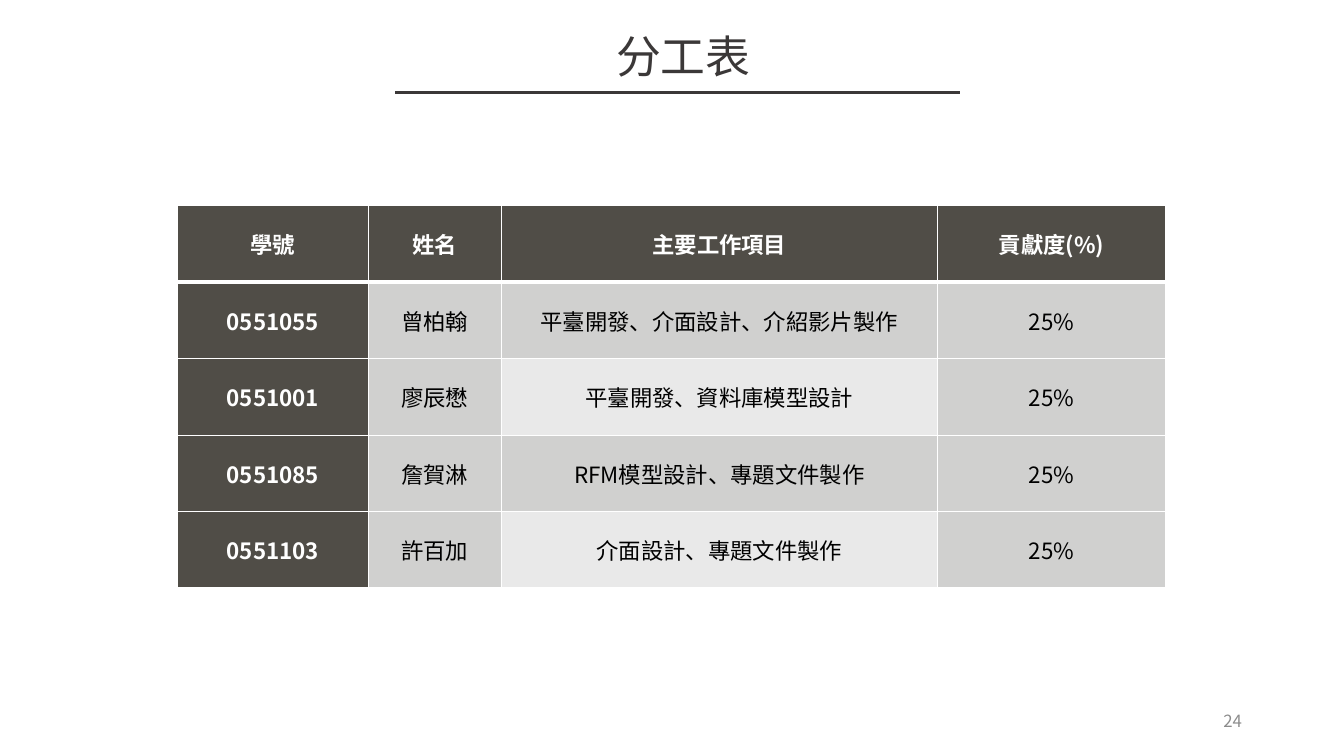
import pptx
import pptx.util
import pptx.dml.color
import pptx.enum.shapes
import pptx.enum.text
import pptx.oxml
import pptx.oxml.ns
from lxml import etree

Pt = pptx.util.Pt
RGB = pptx.dml.color.RGBColor
ALIGN = pptx.enum.text.PP_ALIGN
ANCHOR = pptx.enum.text.MSO_ANCHOR
qn = pptx.oxml.ns.qn

FONT = "Noto Sans CJK SC"
INK = RGB(0x3B, 0x38, 0x38)
GRAY = RGB(0x8C, 0x8C, 0x8C)
DARK = RGB(0x50, 0x4D, 0x47)
MID = RGB(0xD0, 0xD0, 0xCF)
PALE = RGB(0xE9, 0xE9, 0xE9)
BLACK = RGB(0, 0, 0)
WHITE = RGB(255, 255, 255)

HEAD = ["學號", "姓名", "主要工作項目", "貢獻度(%)"]
TEAM = [
    ["0551055", "曾柏翰", "平臺開發、介面設計、介紹影片製作", "25%"],
    ["0551001", "廖辰懋", "平臺開發、資料庫模型設計", "25%"],
    ["0551085", "詹賀淋", "RFM模型設計、專題文件製作", "25%"],
    ["0551103", "許百加", "介面設計、專題文件製作", "25%"],
]
COLS = [136.1, 95, 311.8, 162.7]


def write(frame, text, size, color, align, bold=False):
    para = frame.paragraphs[0]
    para.alignment = align
    run = para.add_run()
    run.text = text
    font = run.font
    font.name, font.size, font.bold = FONT, Pt(size), bold
    font.color.rgb = color
    # East Asian typeface
    latin = font._element.find(qn("a:latin"))
    latin.addnext(etree.Element(qn("a:ea"), typeface=FONT))


def add_title(slide, x, y, w, h):
    group = slide.shapes.add_group_shape()
    box = group.shapes.add_textbox(Pt(x), Pt(y), Pt(w), Pt(h))
    box.text_frame.word_wrap = True
    box.text_frame.auto_size = pptx.enum.text.MSO_AUTO_SIZE.SHAPE_TO_FIT_TEXT
    write(box.text_frame, "分工表", 32, INK, ALIGN.CENTER)
    # Rule under the title
    left, right, base = x + 12.2, x + w - 20.9, y + h + 2.9
    rule = group.shapes.add_connector(
        pptx.enum.shapes.MSO_CONNECTOR.STRAIGHT,
        Pt(left), Pt(base), Pt(right), Pt(base))
    rule.line.color.rgb = INK
    rule.line.width = Pt(2)
    etree.SubElement(rule._element.spPr, qn("a:effectLst"))


def add_edges(cell, top, bottom):
    props = cell._tc.get_or_add_tcPr()
    edges = [("L", 1), ("R", 1), ("T", top), ("B", bottom)]
    for i, (side, width) in enumerate(edges):
        edge = etree.Element(qn("a:ln" + side), w=str(Pt(width)))
        fill = etree.SubElement(edge, qn("a:solidFill"))
        etree.SubElement(fill, qn("a:srgbClr"), val=str(WHITE))
        props.insert(i, edge)


def add_team(slide, x, y, w, h):
    rows = [HEAD] + TEAM
    table = slide.shapes.add_table(
        len(rows), len(COLS), Pt(x), Pt(y), Pt(w), Pt(h)).table
    for col, width in zip(table.columns, COLS):
        col.width = Pt(w * width / sum(COLS))
    for r, row in enumerate(rows):
        table.rows[r].height = Pt(h / len(rows))
        for c, text in enumerate(row):
            cell = table.cell(r, c)
            label = r == 0 or c == 0
            shade = PALE if c == 2 and r % 2 == 0 else MID
            cell.fill.solid()
            cell.fill.fore_color.rgb = DARK if label else shade
            cell.vertical_anchor = ANCHOR.MIDDLE
            cell.margin_left = cell.margin_right = Pt(5)
            cell.margin_top = cell.margin_bottom = Pt(0)
            write(cell.text_frame, text, 16, WHITE if label else BLACK,
                  ALIGN.CENTER, label)
            add_edges(cell, 3 if r == 1 else 1, 3 if r == 0 else 1)


def add_number(slide, x, y, w, h):
    box = slide.shapes.add_textbox(Pt(x), Pt(y), Pt(w), Pt(h))
    box.text_frame.word_wrap = True
    box.text_frame.vertical_anchor = ANCHOR.MIDDLE
    write(box.text_frame, "24", 12, GRAY, ALIGN.RIGHT)


def main():
    deck = pptx.Presentation()
    deck.slide_width, deck.slide_height = Pt(960), Pt(540)
    slide = deck.slides.add_slide(deck.slide_layouts[6])
    add_title(slide, 270, 17.3, 436.3, 46)
    add_number(slide, 678.2, 500.4, 216, 28.8)
    add_team(slide, 126.9, 147, 705.6, 273)
    deck.save("out.pptx")


if __name__ == "__main__":
    main()
